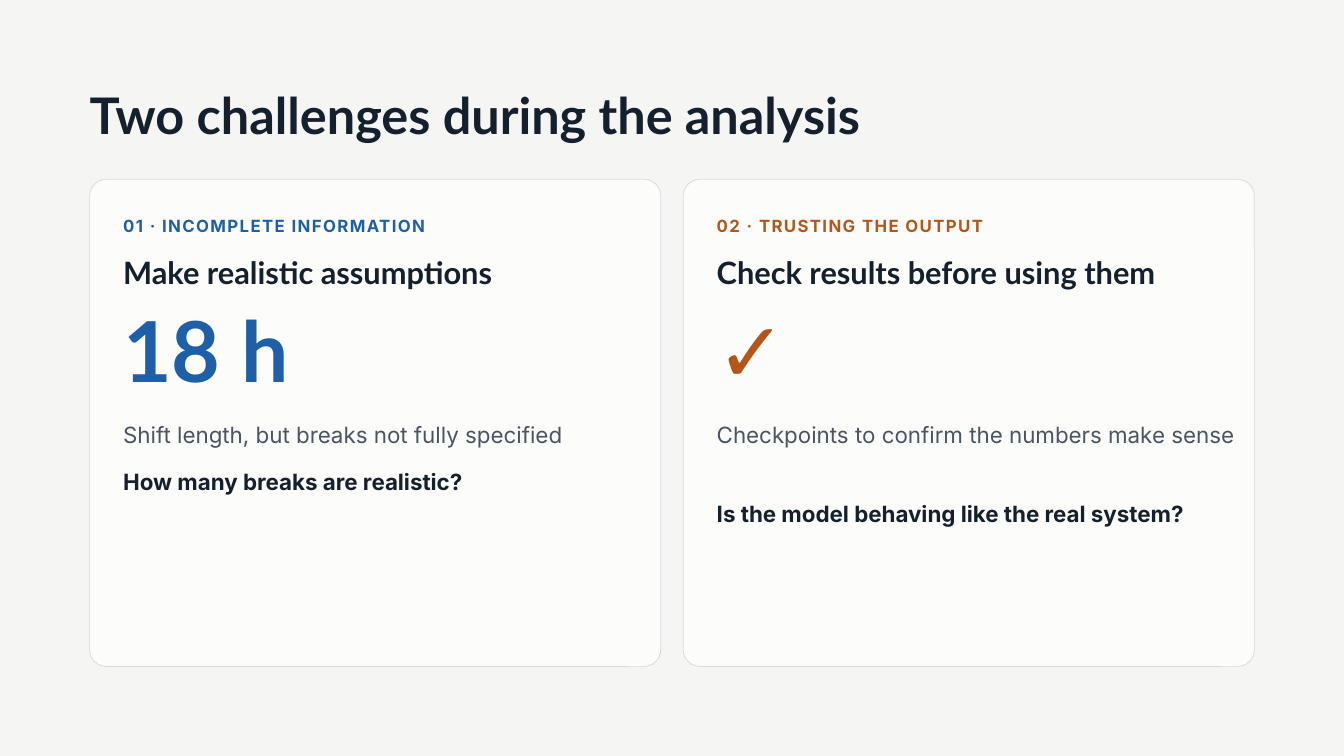
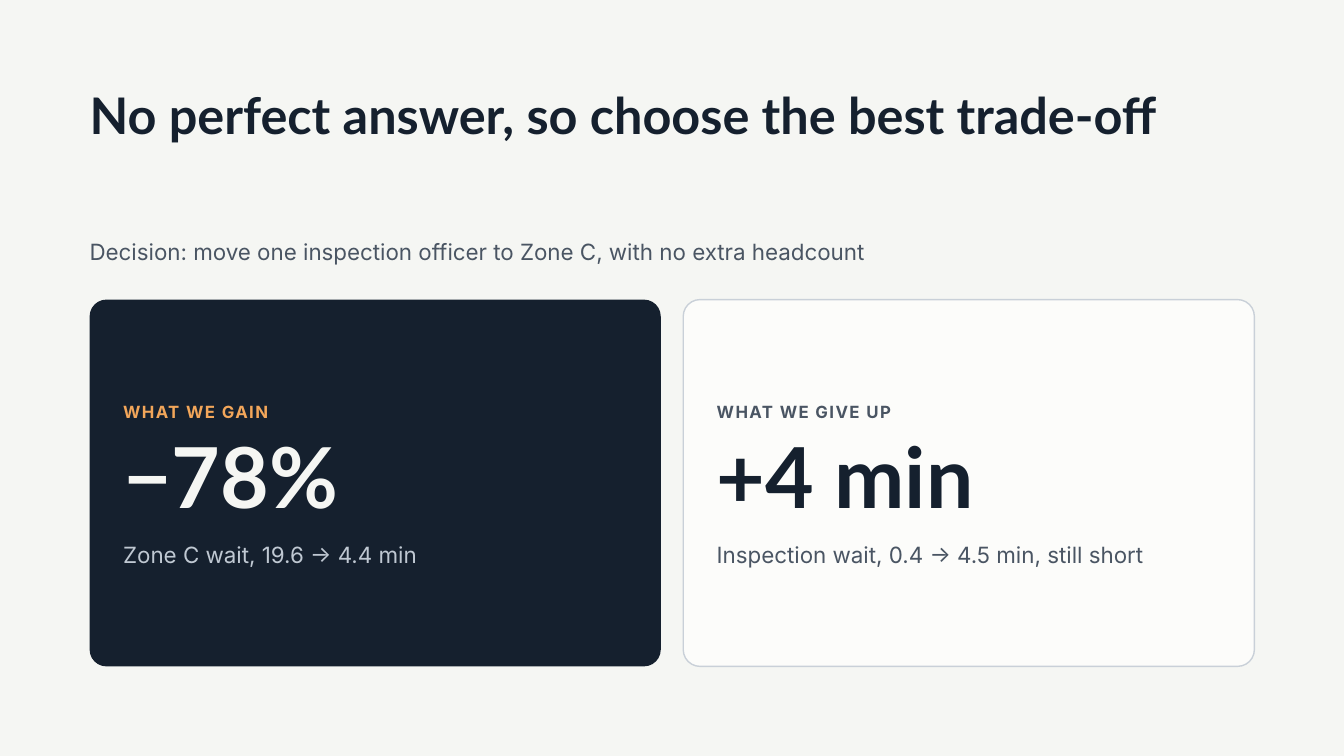
from pptx import Presentation
from pptx.dml.color import RGBColor
from pptx.enum.shapes import MSO_SHAPE
from pptx.util import Pt

COLORS = {
    "page": "F5F6F3", "card": "FCFCFA", "ink": "15202E", "muted": "4A5563",
    "blue": "1F5FA8", "rust": "B4561A", "amber": "F2A65A", "mist": "BFC8D2",
    "hairline": "D5DAE0", "border": "C9D0D8",
}
# font, size, bold, line spacing, box height
STYLES = {
    "title": ("Lato", 36, True, 39.6, 42),
    "heading": ("Lato", 22, True, 26.4, 28),
    "figure": ("Lato", 60, True, 66, 68),
    "label": ("Inter", 12, True, 16.8, 19),
    "body": ("Inter", 16, False, 22.4, 24.5),
    "question": ("Inter", 16, True, 22.4, 24.5),
}
MARGIN, FULL_W = 64, 857
CARD_W, GAP, BOTTOM = 408, 16, 476
PAD, TEXT_W, RADIUS = 24, 371, 12


def add_text(slide, text, style, color, left, top, width=TEXT_W):
    """Add one line of text in a named style, in a box without insets."""
    font_name, size, bold, spacing, height = STYLES[style]
    box = slide.shapes.add_textbox(Pt(left), Pt(top), Pt(width), Pt(height))
    frame = box.text_frame
    frame.word_wrap = True
    frame.margin_left = frame.margin_right = frame.margin_top = frame.margin_bottom = 0
    paragraph = frame.paragraphs[0]
    paragraph.line_spacing = Pt(spacing)
    run = paragraph.add_run()
    run.text = text
    run.font.name, run.font.size, run.font.bold = font_name, Pt(size), bold
    run.font.color.rgb = RGBColor.from_string(COLORS[color])
    if style == "label":
        run.font._element.set("spc", "100")


def add_card(slide, column, top, fill, line=None, line_width=0):
    """Add a rounded card in a column and return the left edge of its text."""
    left, height = MARGIN + column * (CARD_W + GAP), BOTTOM - top
    card = slide.shapes.add_shape(
        MSO_SHAPE.ROUNDED_RECTANGLE, Pt(left), Pt(top), Pt(CARD_W), Pt(height))
    card.adjustments[0] = RADIUS / height
    card.shadow.inherit = False
    card.fill.solid()
    card.fill.fore_color.rgb = RGBColor.from_string(COLORS[fill])
    if line:
        card.line.color.rgb = RGBColor.from_string(COLORS[line])
        card.line.width = Pt(line_width)
    else:
        card.line.fill.background()
    return left + PAD


prs = Presentation()
prs.slide_width, prs.slide_height = Pt(960), Pt(540)

slides = []
for title in ("Two challenges during the analysis",
              "No perfect answer, so choose the best trade-off"):
    slide = prs.slides.add_slide(prs.slide_layouts[6])
    slide.background.fill.solid()
    slide.background.fill.fore_color.rgb = RGBColor.from_string(COLORS["page"])
    add_text(slide, title, "title", "ink", MARGIN, 64, FULL_W)
    slides.append(slide)
challenges, trade_off = slides

# Slide 1: two challenges
challenge_cards = [
    ("blue", "01 · INCOMPLETE INFORMATION", "Make realistic assumptions", "18 h",
     "Shift length, but breaks not fully specified",
     "How many breaks are realistic?", 331),
    ("rust", "02 · TRUSTING THE OUTPUT", "Check results before using them", "✓",
     "Checkpoints to confirm the numbers make sense",
     "Is the model behaving like the real system?", 354),
]
for column, (accent, label, heading, figure, detail, question, question_top) in enumerate(
        challenge_cards):
    left = add_card(challenges, column, 128, "card", "hairline", 0.5)
    add_text(challenges, label, "label", accent, left, 152)
    add_text(challenges, heading, "heading", "ink", left, 181)
    add_text(challenges, figure, "figure", accent, left, 219)
    add_text(challenges, detail, "body", "muted", left, 297.5)
    add_text(challenges, question, "question", "ink", left, question_top)

# Slide 2: gain against cost
add_text(trade_off, "Decision: move one inspection officer to Zone C, with no extra headcount",
         "body", "muted", MARGIN, 167, FULL_W)
trade_off_cards = [
    (("ink",), ("WHAT WE GAIN", "amber"), ("−78%", "page"),
     ("Zone C wait, 19.6 → 4.4 min", "mist")),
    (("card", "border", 1), ("WHAT WE GIVE UP", "muted"), ("+4 min", "ink"),
     ("Inspection wait, 0.4 → 4.5 min, still short", "muted")),
]
for column, (look, *lines) in enumerate(trade_off_cards):
    left = add_card(trade_off, column, 214, *look)
    for (text, color), style, top in zip(lines, ("label", "figure", "body"), (284.5, 309, 383)):
        add_text(trade_off, text, style, color, left, top)

prs.save("out.pptx")
